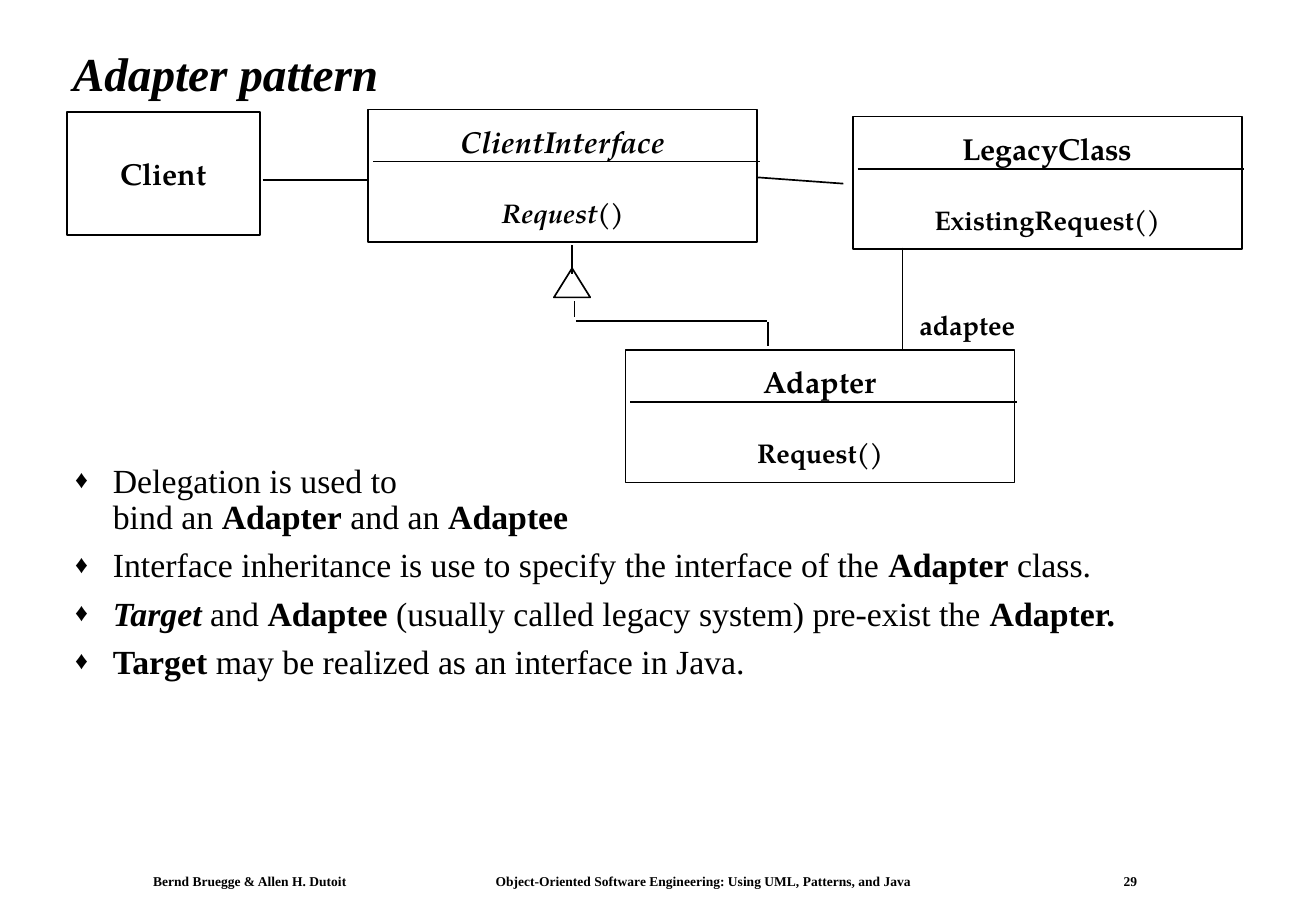
from lxml.etree import SubElement
from pptx import Presentation
from pptx.dml.color import RGBColor
from pptx.enum.shapes import MSO_CONNECTOR, MSO_SHAPE
from pptx.enum.text import MSO_ANCHOR, MSO_AUTO_SIZE, PP_ALIGN
from pptx.oxml.ns import qn
from pptx.util import Cm, Pt

BLACK, WHITE = "000000", "FFFFFF"
SERIF, UML = "Times New Roman", "TeX Gyre Pagella"

BULLETS = [
    [("Delegation is used to\vbind an ", ""), ("Adapter", "b"), (" and an ", ""), ("Adaptee", "b")],
    [("Interface inheritance is use to specify the interface of the ", ""), ("Adapter", "b"), (" class.", "")],
    [("Target", "bi"), (" and ", ""), ("Adaptee", "b"),
     (" (usually called legacy system) pre-exist the ", ""), ("Adapter.", "b")],
    [("Target ", "b"), ("may be realized as an interface in Java.", "")],
]
CLASSES = [
    (6.3, 0, "ClientInterface", "Request", "bi"),
    (16.43, 0.15, "LegacyClass", "ExistingRequest", "b"),
    (11.68, 5.03, "Adapter", "Request", "b"),
]
LINKS = [
    (4.09, 1.47, 6.3, 1.47),
    (14.45, 1.42, 16.23, 1.55),
    (10.56, 2.84, 10.56, 3.43),
    (10.61, 4.01, 10.61, 4.34),
    (10.64, 4.42, 14.63, 4.42),
    (14.65, 4.44, 14.65, 4.95),
    (17.47, 2.89, 17.47, 5),
]


def color(value):
    return RGBColor.from_string(value)


def add_run(p, text, size, font, style=""):
    for i, part in enumerate(text.split("\v")):
        if i:
            p.add_line_break()
        r = p.add_run()
        r.text = part
        r.font.size = Pt(size)
        r.font.name = font
        r.font.bold = "b" in style
        r.font.italic = "i" in style
        r.font.color.rgb = color(BLACK)


def add_text(s, x, y, w, h, wrap=False):
    tf = s.shapes.add_textbox(Cm(x), Cm(y), Cm(w), Cm(h)).text_frame
    tf.word_wrap = wrap
    return tf


def add_outline(s, kind, x, y, w, h):
    sp = s.shapes.add_shape(kind, Cm(x), Cm(y), Cm(w), Cm(h))
    sp.shadow.inherit = False
    sp.fill.solid()
    sp.fill.fore_color.rgb = color(WHITE)
    sp.line.color.rgb = color(BLACK)
    sp.line.width = Pt(1)
    tf = sp.text_frame
    tf.word_wrap = False
    tf.vertical_anchor = MSO_ANCHOR.MIDDLE
    tf.paragraphs[0].alignment = PP_ALIGN.CENTER
    return tf


def add_line(s, x1, y1, x2, y2):
    line = s.shapes.add_connector(MSO_CONNECTOR.STRAIGHT, Cm(x1), Cm(y1), Cm(x2), Cm(y2))
    line.line.color.rgb = color(BLACK)
    line.line.width = Pt(1)
    SubElement(line._element.spPr, qn("a:effectLst"))


def add_class(s, x, y, w, h, name, method, style):
    tf = add_outline(s, MSO_SHAPE.RECTANGLE, x, y, w, h)
    add_run(tf.paragraphs[0], name, 18, UML, style)
    p = tf.add_paragraph()
    p.alignment = PP_ALIGN.CENTER
    p.space_before = Pt(22)
    add_run(p, method + "()", 16, UML, style)
    add_line(s, x + 0.1, y + 1.09, x + w + 0.05, y + 1.09)


def add_title(s, x, y, w, h):
    sp = s.shapes.title
    sp.left, sp.top, sp.width, sp.height = Cm(x), Cm(y), Cm(w), Cm(h)
    tf = sp.text_frame
    tf.auto_size = MSO_AUTO_SIZE.NONE
    tf.vertical_anchor = MSO_ANCHOR.MIDDLE
    p = tf.paragraphs[0]
    p.alignment = PP_ALIGN.LEFT
    p.line_spacing = 0.9
    add_run(p, "Adapter pattern", 28, SERIF, "bi")


def add_diagram(s, x, y):
    tf = add_outline(s, MSO_SHAPE.RECTANGLE, x, y + 0.05, 4.04, 2.57)
    add_run(tf.paragraphs[0], "Client", 18, UML, "b")
    for dx, dy, name, method, style in CLASSES:
        add_class(s, x + dx, y + dy, 8.13, 2.77, name, method, style)
    add_outline(s, MSO_SHAPE.ISOSCELES_TRIANGLE, x + 10.18, y + 3.32, 0.76, 0.61)
    for x1, y1, x2, y2 in LINKS:
        add_line(s, x + x1, y + y1, x + x2, y + y2)
    tf = add_text(s, x + 17.57, y + 4.03, 2.51, 0.91)
    add_run(tf.paragraphs[0], "adaptee", 16, UML, "b")


def add_bullets(s, x, y, w, h):
    tf = add_text(s, x, y, w, h, wrap=True)
    for i, runs in enumerate(BULLETS):
        p = tf.add_paragraph() if i else tf.paragraphs[0]
        p.line_spacing = 0.9
        if i:
            p.space_before = Pt(7)
        pPr = p._p.get_or_add_pPr()
        pPr.set("marL", str(Cm(0.79)))
        pPr.set("indent", str(-Cm(0.79)))
        bu_color = SubElement(pPr, qn("a:buClr"))
        SubElement(bu_color, qn("a:srgbClr"), val=BLACK)
        SubElement(pPr, qn("a:buSzPct"), val="75000")
        SubElement(pPr, qn("a:buFont"), typeface=SERIF)
        SubElement(pPr, qn("a:buChar"), char="♦")
        for text, style in runs:
            add_run(p, text, 20, SERIF, style)


def add_footer(s, x, y, w, h):
    tf = add_text(s, x, y, w, h, wrap=True)
    tf.margin_left = tf.margin_right = Cm(0.2)
    tf.margin_top = tf.margin_bottom = Cm(0.1)
    p = tf.paragraphs[0]
    tabs = SubElement(p._p.get_or_add_pPr(), qn("a:tabLst"))
    for pos in (7.16, 20.29):
        SubElement(tabs, qn("a:tab"), pos=str(Cm(pos)), algn="l")
    parts = ("Bernd Bruegge & Allen H. Dutoit",
             "Object-Oriented Software Engineering: Using UML, Patterns, and Java", "29")
    add_run(p, "\t".join(parts), 8, SERIF, "b")


def main():
    prs = Presentation()
    prs.slide_width, prs.slide_height = Cm(27.51), Cm(19.05)
    s = prs.slides.add_slide(prs.slide_layouts[5])
    add_footer(s, 3, 18.16, 22, 0.53)
    add_bullets(s, 1.32, 9.58, 24.84, 6.81)
    add_title(s, 1.27, 0.61, 24.54, 1.96)
    add_diagram(s, 1.4, 2.29)
    prs.save("out.pptx")


if __name__ == "__main__":
    main()
